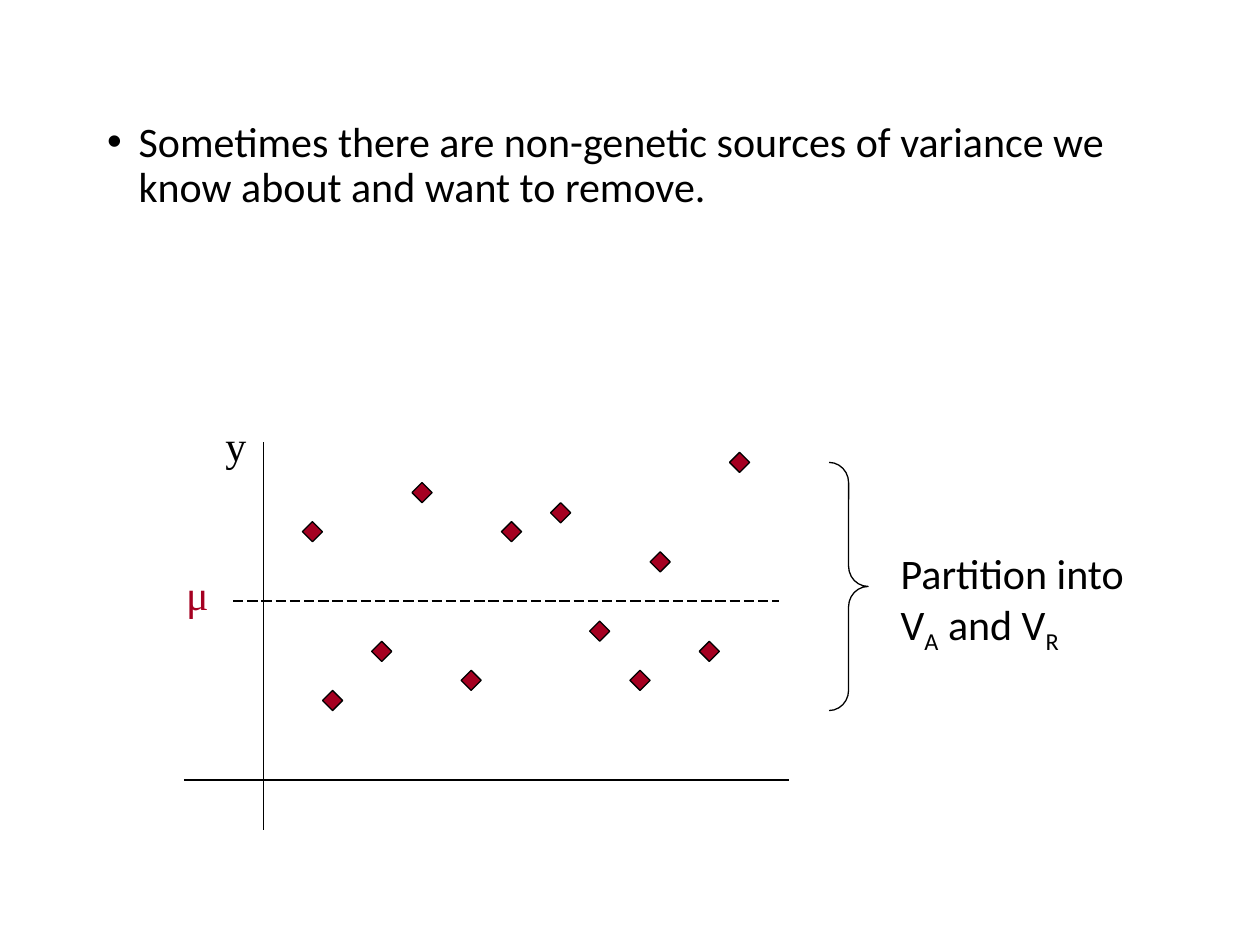
import pptx
import pptx.util
import pptx.dml.color
import pptx.enum.dml
import pptx.enum.shapes
import pptx.enum.text
import pptx.oxml.ns
import lxml.etree
from pptx.util import Inches, Pt

THEME = {
    "ink": pptx.dml.color.RGBColor.from_string("000000"),
    "accent": pptx.dml.color.RGBColor.from_string("A50021"),
    "sans": "Calibri",
    "serif": "Times New Roman",
    "size": Pt(24),
    "line": Pt(0.75),
}

STATEMENT = "Sometimes there are non-genetic sources of variance we know about and want to remove."
PARTITION = [("Partition into V", False), ("A", True), (" and V", False), ("R", True)]
LABELS = [
    ([("μ", False)], (1.38, 4.46, 0.63, 0.5), "serif", "accent"),
    ([("y", False)], (1.69, 3.28, 0.39, 0.5), "serif", "ink"),
    (PARTITION, (7.05, 4.3, 2.2, 0.9), "sans", "ink"),
]
AXES = [((2.09, 3.51), (2.09, 6.59)), ((1.46, 6.19), (6.26, 6.19))]
MEAN = ((1.85, 4.77), (6.18, 4.77))
MARKER = 0.16
OBSERVATIONS = [
    (2.4, 4.14), (3.27, 3.83), (2.95, 5.09), (3.98, 4.14),
    (3.66, 5.32), (4.37, 3.99), (4.68, 4.93), (5, 5.32),
    (5.55, 5.09), (5.79, 3.59), (2.56, 5.48), (5.16, 4.38),
]
BRACE = (6.58, 3.67, 0.31, 1.97)


def inches(lengths):
    return [Inches(length) for length in lengths]


def style_font(paragraph, face, color):
    paragraph.font.name = THEME[face]
    paragraph.font.size = THEME["size"]
    paragraph.font.color.rgb = THEME[color]


def style_line(line):
    line.color.rgb = THEME["ink"]
    line.width = THEME["line"]


def add_statement(slide):
    body = slide.placeholders[1]
    body.left, body.top, body.width, body.height = inches((0.75, 0.91, 8.5, 4.5))
    body.text_frame.auto_size = pptx.enum.text.MSO_AUTO_SIZE.NONE
    paragraph = body.text_frame.paragraphs[0]
    paragraph.text = STATEMENT
    paragraph.line_spacing = 0.9
    paragraph.space_before = Pt(10)
    style_font(paragraph, "sans", "ink")
    properties = paragraph._p.get_or_add_pPr()
    properties.set("marL", str(Inches(0.25)))
    properties.set("indent", str(Inches(-0.25)))


def add_rule(slide, start, end, dash=None):
    rule = slide.shapes.add_connector(
        pptx.enum.shapes.MSO_CONNECTOR.STRAIGHT, *inches(start + end))
    style_line(rule.line)
    if dash:
        rule.line.dash_style = dash
    lxml.etree.SubElement(rule._element.spPr, pptx.oxml.ns.qn("a:effectLst"))


def add_label(slide, pieces, box, face, color):
    label = slide.shapes.add_textbox(*inches(box))
    label.text_frame.word_wrap = True
    paragraph = label.text_frame.paragraphs[0]
    style_font(paragraph, face, color)
    for text, subscript in pieces:
        run = paragraph.add_run()
        run.text = text
        if subscript:
            run._r.get_or_add_rPr().set("baseline", "-25000")


def add_outline(slide, preset, box):
    outline = slide.shapes.add_shape(preset, *inches(box))
    outline.shadow.inherit = False
    style_line(outline.line)
    return outline


def main():
    presentation = pptx.Presentation()
    presentation.slide_width, presentation.slide_height = inches((10, 7.5))
    slide = presentation.slides.add_slide(presentation.slide_layouts[1])
    title = slide.shapes.title
    title._element.getparent().remove(title._element)

    add_statement(slide)
    for start, end in AXES:
        add_rule(slide, start, end)
    add_rule(slide, *MEAN, dash=pptx.enum.dml.MSO_LINE.LONG_DASH)
    for label in LABELS:
        add_label(slide, *label)

    shapes = pptx.enum.shapes.MSO_SHAPE
    for left, top in OBSERVATIONS:
        marker = add_outline(slide, shapes.DIAMOND, (left, top, MARKER, MARKER))
        marker.fill.solid()
        marker.fill.fore_color.rgb = THEME["accent"]

    brace = add_outline(slide, shapes.RIGHT_BRACE, BRACE)
    brace.fill.background()
    brace.adjustments[0] = 0.52
    brace.adjustments[1] = 0.5
    presentation.save("out.pptx")


if __name__ == "__main__":
    main()
